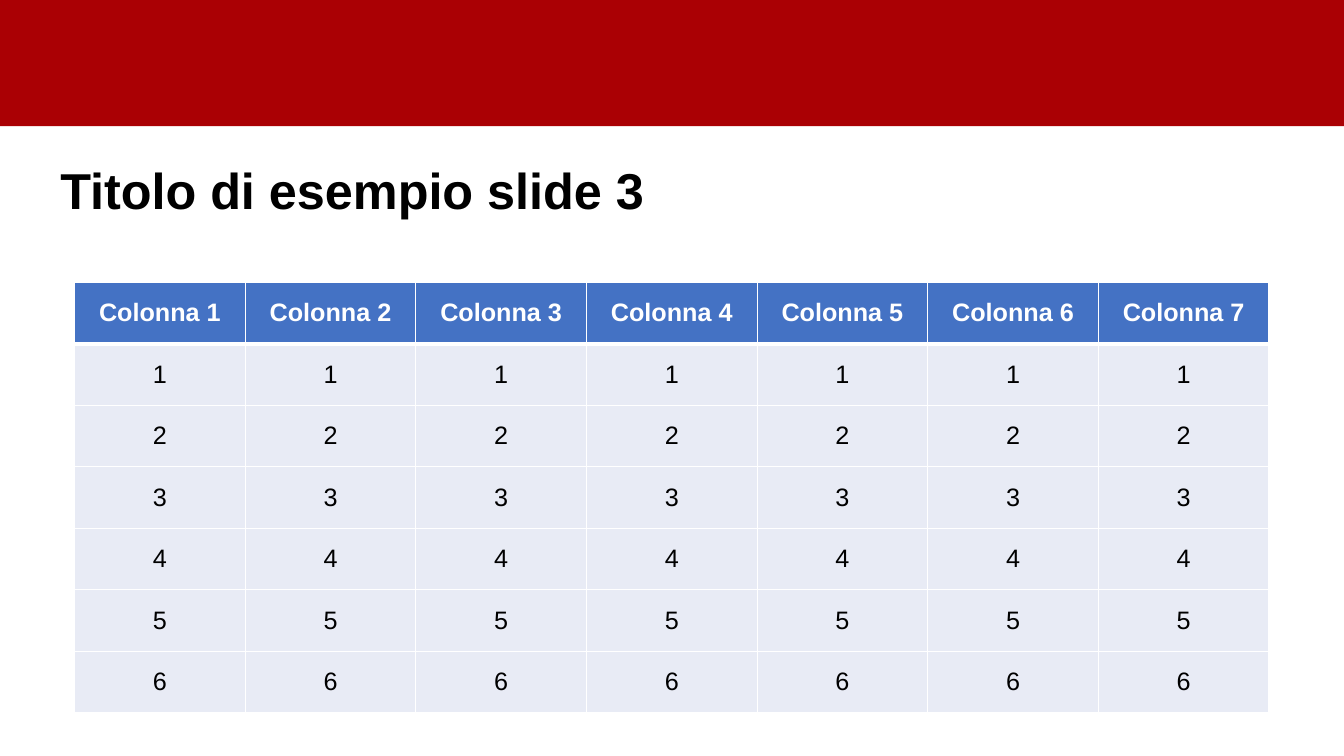
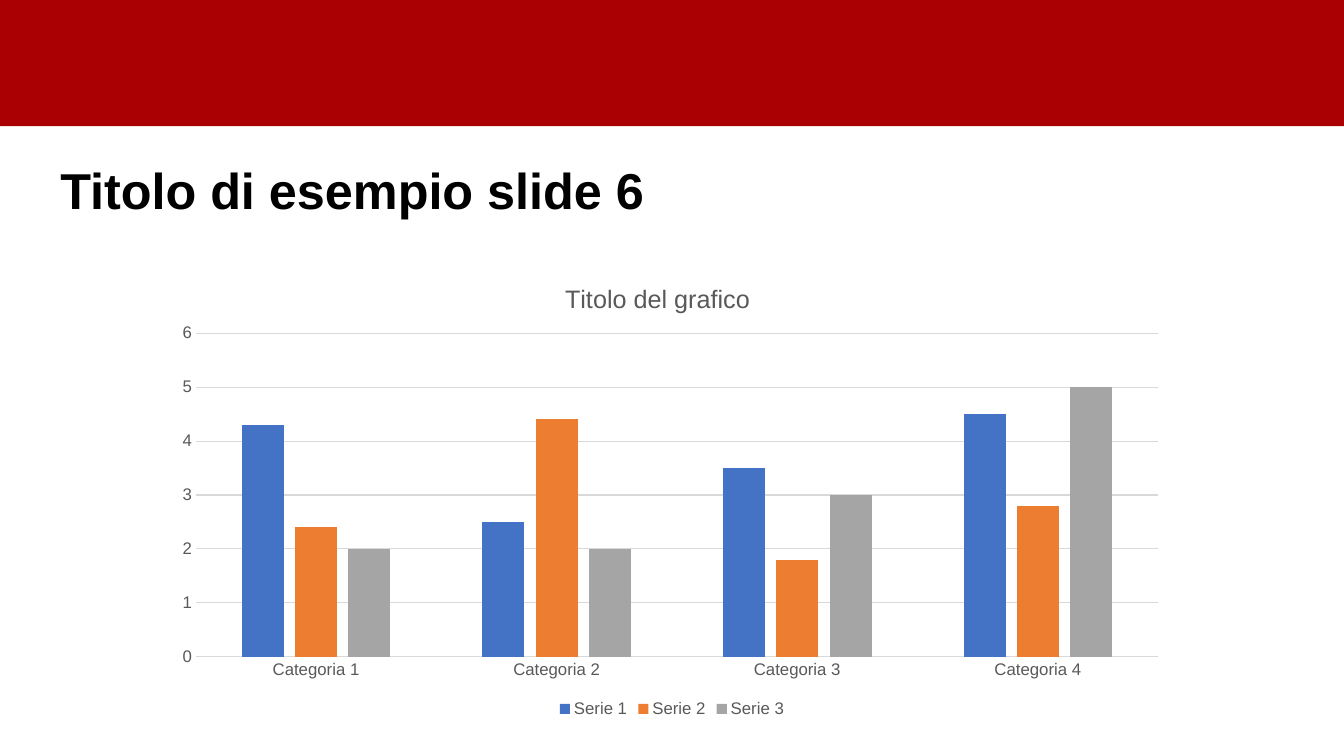
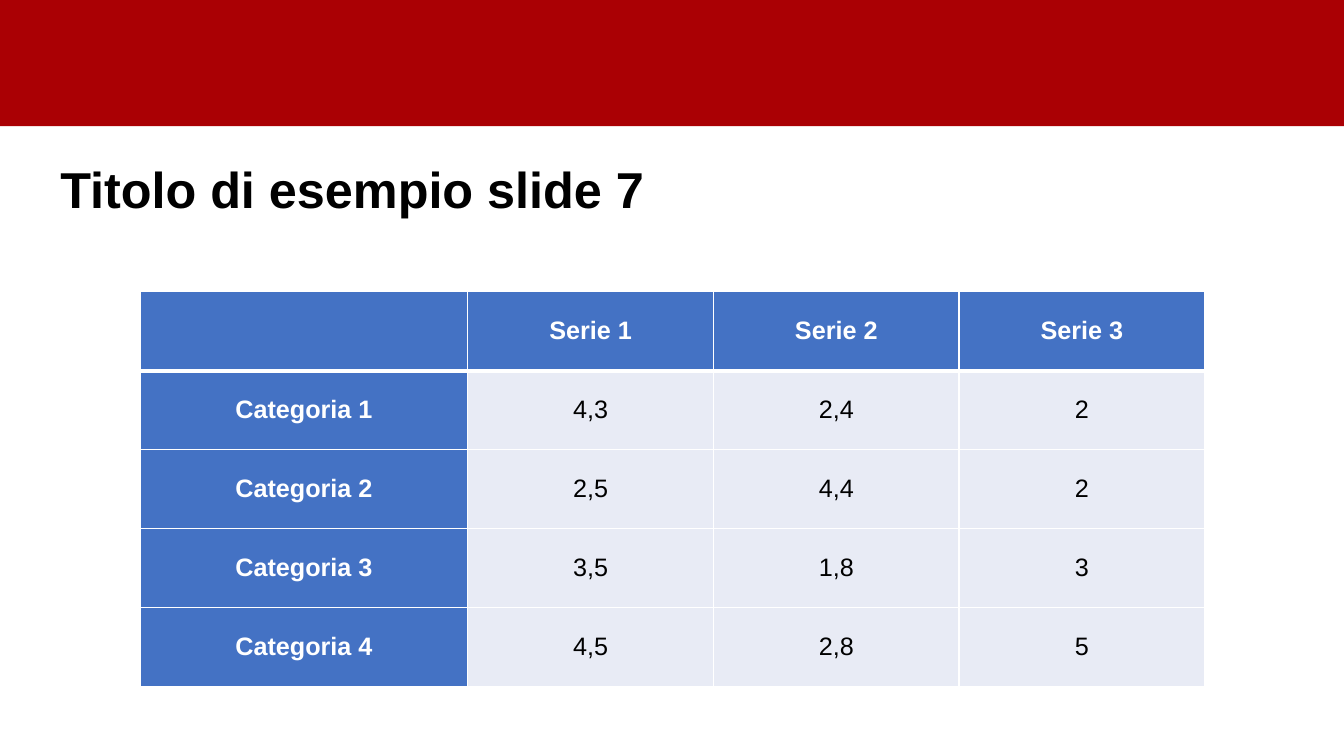
from dataclasses import dataclass

import lxml.etree
import pptx
import pptx.chart.data
import pptx.dml.color
import pptx.enum.chart
import pptx.enum.shapes
import pptx.enum.text
import pptx.oxml.ns
import pptx.util

Cm = pptx.util.Cm
Pt = pptx.util.Pt
qn = pptx.oxml.ns.qn

FONT = "Arial"
HEX = {
    "band": "AA0004",
    "head": "4472C4",
    "cell": "E8EBF5",
    "white": "FFFFFF",
    "black": "000000",
    "gray": "595959",
    "grid": "D9D9D9",
}
WIDTH, HEIGHT = 33.87, 19.05
GROUPS = [f"Categoria {n}" for n in range(1, 5)]


@dataclass(frozen=True)
class Series:
    name: str
    vals: tuple[float, ...]
    tint: str


@dataclass(frozen=True)
class Grid:
    left: float
    top: float
    cols: list[float]
    row: float
    cells: list[list[str]]
    pad: tuple[float, float]
    side: bool = False


SERIES = [
    Series("Serie 1", (4.3, 2.5, 3.5, 4.5), "4472C4"),
    Series("Serie 2", (2.4, 4.4, 1.8, 2.8), "ED7D31"),
    Series("Serie 3", (2, 2, 3, 5), "A5A5A5"),
]


def shade(name: str) -> pptx.dml.color.RGBColor:
    return pptx.dml.color.RGBColor.from_string(HEX.get(name, name))


def style(font, size: float, tint: str, bold: bool = False) -> None:
    font.name = FONT
    font.size = Pt(size)
    font.bold = bold
    font.color.rgb = shade(tint)


def paint(fill, tint: str) -> None:
    fill.solid()
    fill.fore_color.rgb = shade(tint)


def add_page(deck, title: str, top: float = 3.23):
    page = deck.slides.add_slide(deck.slide_layouts[6])
    band = page.shapes.add_shape(
        pptx.enum.shapes.MSO_SHAPE.RECTANGLE, 0, 0, Cm(WIDTH), Cm(3.18)
    )
    band.shadow.inherit = False
    paint(band.fill, "band")
    band.line.fill.background()
    box = page.shapes.add_textbox(Cm(1.27), Cm(top), Cm(32.59), Cm(3.3))
    frame = box.text_frame
    frame.word_wrap = True
    frame.vertical_anchor = pptx.enum.text.MSO_ANCHOR.MIDDLE
    frame.text = title
    line = frame.paragraphs[0]
    line.line_spacing = 0.9
    style(line.runs[0].font, 36, "black", True)
    return page


def edge(cell, base: float) -> None:
    props = cell._tc.get_or_add_tcPr()
    sides = {"lnL": 1, "lnR": 1, "lnT": 1, "lnB": base}
    for spot, (tag, width) in enumerate(sides.items()):
        line = lxml.etree.Element(qn(f"a:{tag}"), w=str(Pt(width)))
        fill = lxml.etree.SubElement(line, qn("a:solidFill"))
        lxml.etree.SubElement(fill, qn("a:srgbClr"), val=HEX["white"])
        props.insert(spot, line)


def add_grid(page, grid: Grid) -> None:
    count = len(grid.cells)
    table = page.shapes.add_table(
        count, len(grid.cols), Cm(grid.left), Cm(grid.top),
        Cm(sum(grid.cols)), Cm(grid.row * count),
    ).table
    table.horz_banding = False
    for col, width in zip(table.columns, grid.cols):
        col.width = Cm(width)
    for r, texts in enumerate(grid.cells):
        table.rows[r].height = Cm(grid.row)
        for c, text in enumerate(texts):
            cell = table.cell(r, c)
            head = r == 0 or (grid.side and c == 0)
            cell.margin_left = cell.margin_right = Cm(grid.pad[0])
            cell.margin_top = cell.margin_bottom = Cm(grid.pad[1])
            cell.vertical_anchor = pptx.enum.text.MSO_ANCHOR.MIDDLE
            paint(cell.fill, "head" if head else "cell")
            edge(cell, 3 if r == 0 else 1)
            cell.text_frame.text = text
            line = cell.text_frame.paragraphs[0]
            line.alignment = pptx.enum.text.PP_ALIGN.CENTER
            for run in line.runs:
                style(run.font, 18, "white" if head else "black", head)


def place(host, **spots: float) -> None:
    node = host.find(qn("c:layout"))
    if node is None:
        node = lxml.etree.Element(qn("c:layout"))
        host.insert(0, node)
    plan = lxml.etree.SubElement(node, qn("c:manualLayout"))
    if "w" in spots:
        lxml.etree.SubElement(plan, qn("c:layoutTarget"), val="inner")
    for mode in ("xMode", "yMode"):
        lxml.etree.SubElement(plan, qn(f"c:{mode}"), val="edge")
    for key, val in spots.items():
        lxml.etree.SubElement(plan, qn(f"c:{key}"), val=str(val))


def add_bars(page) -> None:
    data = pptx.chart.data.CategoryChartData()
    data.categories = GROUPS
    for item in SERIES:
        data.add_series(item.name, item.vals)
    chart = page.shapes.add_chart(
        pptx.enum.chart.XL_CHART_TYPE.COLUMN_CLUSTERED,
        Cm(4.17), Cm(6.53), Cm(25.53), Cm(11.66), data,
    ).chart
    style(chart.font, 12, "gray")

    title = chart.chart_title
    title.text_frame.text = "Titolo del grafico"
    style(title.text_frame.paragraphs[0].runs[0].font, 18, "gray")
    title.include_in_layout = False
    place(title._element, x=0.39, y=0.04)

    plot = chart.plots[0]
    plot.gap_width = 219
    plot.overlap = -27
    plot.vary_by_categories = False
    place(plot._element.getparent(), x=0.03, y=0.16, w=0.95, h=0.7)
    for bars, item in zip(plot.series, SERIES):
        paint(bars.format.fill, item.tint)

    rule = chart.value_axis
    rule.minimum_scale, rule.maximum_scale, rule.major_unit = 0, 6, 1
    rule.format.line.fill.background()
    base = chart.category_axis
    rule.has_major_gridlines = True
    for line in (base.format.line, rule.major_gridlines.format.line):
        paint(line.fill, "grid")
        line.width = Pt(0.75)
    for axis in (base, rule):
        axis.major_tick_mark = pptx.enum.chart.XL_TICK_MARK.NONE
        axis.minor_tick_mark = pptx.enum.chart.XL_TICK_MARK.NONE
        style(axis.tick_labels.font, 12, "gray")

    chart.has_legend = True
    chart.legend.position = pptx.enum.chart.XL_LEGEND_POSITION.BOTTOM
    chart.legend.include_in_layout = False
    style(chart.legend.font, 12, "gray")


def main() -> None:
    deck = pptx.Presentation()
    deck.slide_width, deck.slide_height = Cm(WIDTH), Cm(HEIGHT)

    heads = [f"Colonna {n}" for n in range(1, 8)]
    rows = [[str(n)] * len(heads) for n in range(1, 7)]
    page = add_page(deck, "Titolo di esempio slide 3")
    add_grid(page, Grid(1.88, 7.11, [4.3] * 7, 1.55, [heads] + rows, (0.25, 0.13)))

    add_bars(add_page(deck, "Titolo di esempio slide 6"))

    heads = [""] + [item.name for item in SERIES]
    rows = [
        [group] + [f"{item.vals[n]:g}".replace(".", ",") for item in SERIES]
        for n, group in enumerate(GROUPS)
    ]
    page = add_page(deck, "Titolo di esempio slide 7", 3.2)
    cols = [8.26] + [6.19] * 3
    add_grid(page, Grid(3.53, 7.35, cols, 1.99, [heads] + rows, (0.02, 0.02), True))

    deck.save("out.pptx")


if __name__ == "__main__":
    main()
